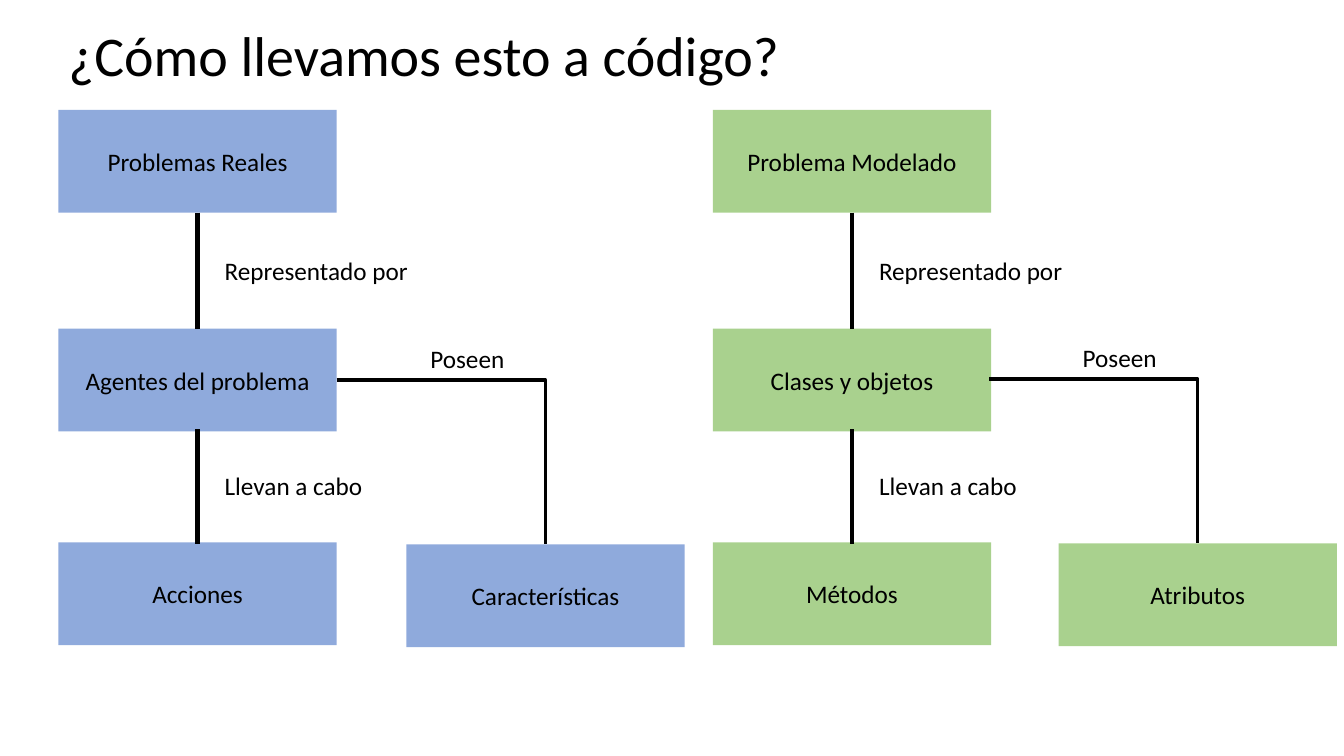
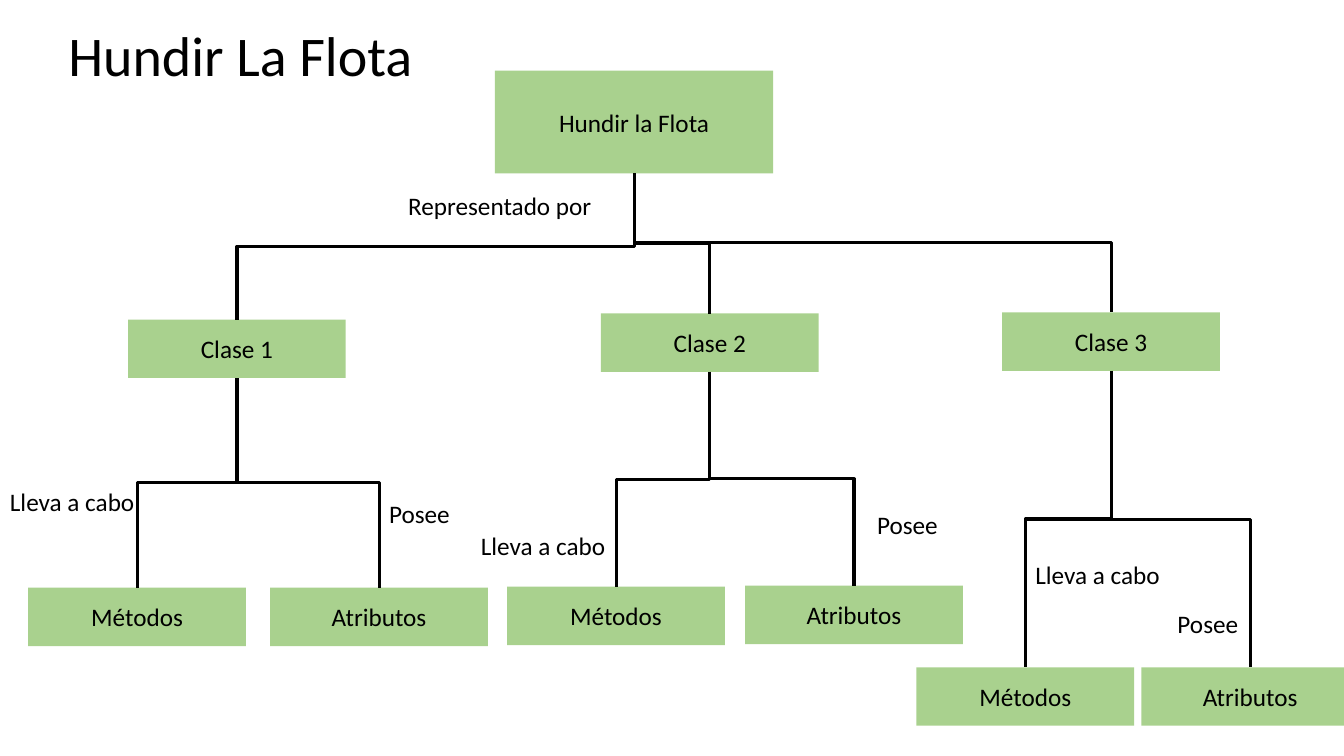
"""Build two slides of concept trees that lead from a problem to its classes."""
from lxml.etree import SubElement
from pptx import Presentation
from pptx.dml.color import RGBColor
from pptx.enum.shapes import MSO_CONNECTOR, MSO_SHAPE
from pptx.enum.text import MSO_ANCHOR, MSO_AUTO_SIZE, PP_ALIGN
from pptx.oxml.ns import qn
from pptx.util import Inches, Pt

COLORS = {"blue": "8FAADC", "green": "A9D18E", "ink": "000000"}
FONT = "Calibri"
BIG_BOX = (2.76, 1.02)
SMALL_BOX = (2.16, 0.58)


def add_text(page, text, left, top, width, height=0.4, size=18, fill=None):
    """Add a filled, centred box, or a plain label when there is no fill."""
    place = [Inches(length) for length in (left, top, width, height)]
    if fill:
        box = page.shapes.add_shape(MSO_SHAPE.RECTANGLE, *place)
        box.shadow.inherit = False
        box.fill.solid()
        box.fill.fore_color.rgb = RGBColor.from_string(COLORS[fill])
        box.line.fill.background()
    else:
        box = page.shapes.add_textbox(*place)
    frame = box.text_frame
    frame.word_wrap = True
    para = frame.paragraphs[0]
    if fill:
        frame.vertical_anchor = MSO_ANCHOR.MIDDLE
        para.alignment = PP_ALIGN.CENTER
    else:
        frame.auto_size = MSO_AUTO_SIZE.SHAPE_TO_FIT_TEXT
    span = para.add_run()
    span.text = text
    span.font.name = FONT
    span.font.size = Pt(size)
    span.font.color.rgb = RGBColor.from_string(COLORS["ink"])


def add_link(page, start, end, route="branch", weight=2.25):
    """Draw a straight line, a corner (across, down) or a branch (down, across, down)."""
    (x1, y1), (x2, y2) = start, end
    kind = MSO_CONNECTOR.STRAIGHT if route == "straight" else MSO_CONNECTOR.ELBOW
    if route == "branch":
        drop, drift = y2 - y1, abs(x2 - x1)
        middle_x, middle_y = (x1 + x2) / 2, (y1 + y2) / 2
        side = 1 if x2 > x1 else -1
        ends = (middle_x + side * drop / 2, middle_y - drift / 2,
                middle_x - side * drop / 2, middle_y + drift / 2)
    else:
        ends = (x1, y1, x2, y2)
    link = page.shapes.add_connector(kind, *[Inches(length) for length in ends])
    link.line.color.rgb = RGBColor.from_string(COLORS["ink"])
    link.line.width = Pt(weight)
    properties = link._element.spPr
    if route == "branch":
        angle = 270 if side > 0 else 90
        properties.find(qn("a:xfrm")).set("rot", str(angle * 60000))
    elif route == "corner":
        properties.find(qn("a:prstGeom")).set("prst", "bentConnector2")
    SubElement(properties, qn("a:effectLst"))


deck = Presentation()
deck.slide_width, deck.slide_height = Inches(13.33), Inches(7.5)
pages = []
for title in ("¿Cómo llevamos esto a código?", "Hundir La Flota"):
    page = deck.slides.add_slide(deck.slide_layouts[6])
    add_text(page, title, 0.58, 0.15, 9.09, 0.77, size=40)
    pages.append(page)
model_page, game_page = pages

columns = [
    ("blue", 0.58, ("Problemas Reales", "Agentes del problema", "Acciones"),
     "Características", 4.03, 5.4, 3.34),
    ("green", 7.07, ("Problema Modelado", "Clases y objetos", "Métodos"),
     "Atributos", 10.5, 5.39, 9.81),
]
for color, left, steps, trait, trait_left, trait_top, corner_left in columns:
    for step, top in zip(steps, (1.09, 3.26, 5.38)):
        add_text(model_page, step, left, top, *BIG_BOX, fill=color)
    add_text(model_page, trait, trait_left, trait_top, *BIG_BOX, fill=color)
    center = left + BIG_BOX[0] / 2
    for relation, label_top, line_top, line_end in (
            ("Representado por", 2.48, 2.11, 3.26), ("Llevan a cabo", 4.62, 4.26, 5.4)):
        add_link(model_page, (center, line_top), (center, line_end), "straight", 3)
        add_text(model_page, relation, left + 1.55, label_top, 2.06)
    add_link(model_page, (corner_left, trait_top - 1.63),
             (trait_left + BIG_BOX[0] / 2, trait_top), "corner")
    add_text(model_page, "Poseen", trait_left + 0.14, trait_top - 2.04, 2.06)

root = (6.29, 1.72)
add_text(game_page, "Hundir la Flota", 4.91, 0.7, *BIG_BOX, fill="green")
add_text(game_page, "Representado por", 3.95, 1.84, 2.51)
classes = [
    ("Clase 1", 1.27, 3.17, [("Métodos", 0.28, 5.83, "Lleva a cabo", 0, 4.78),
                             ("Atributos", 2.68, 5.83, "Posee", 3.76, 4.89)]),
    ("Clase 2", 5.96, 3.11, [("Métodos", 5.03, 5.82, "Lleva a cabo", 4.67, 5.21),
                             ("Atributos", 7.39, 5.81, "Posee", 8.6, 5)]),
    ("Clase 3", 9.94, 3.1, [("Métodos", 9.09, 6.62, "Lleva a cabo", 10.17, 5.5),
                            ("Atributos", 11.32, 6.62, "Posee", 11.58, 5.99)]),
]
half_width, box_height = SMALL_BOX[0] / 2, SMALL_BOX[1]
for name, left, top, members in classes:
    center = left + half_width
    add_text(game_page, name, left, top, *SMALL_BOX, fill="green")
    add_link(game_page, root, (center, top))
    for member, member_left, member_top, relation, label_left, label_top in members:
        add_text(game_page, member, member_left, member_top, *SMALL_BOX, fill="green")
        add_link(game_page, (center, top + box_height), (member_left + half_width, member_top))
        add_text(game_page, relation, label_left, label_top, 1.62)

deck.save("out.pptx")
